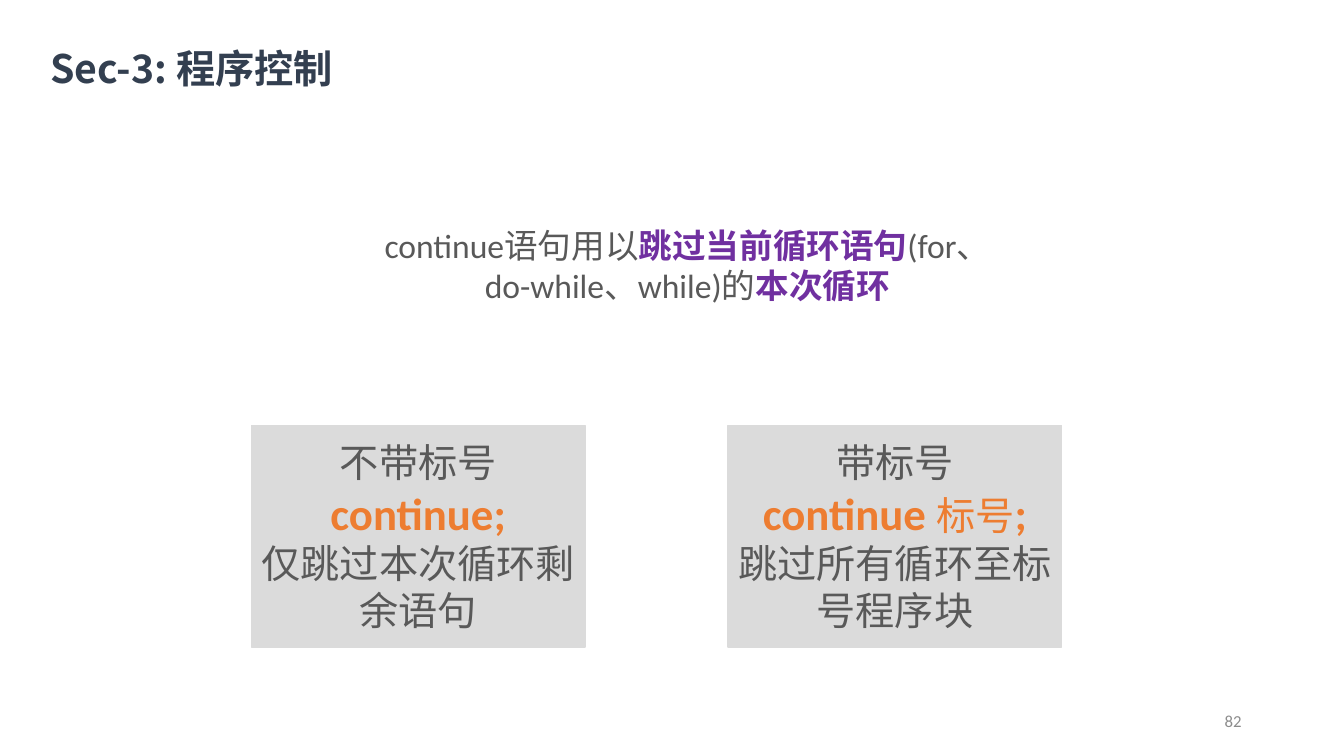
from lxml import etree
from pptx import Presentation
from pptx.dml.color import RGBColor
from pptx.enum.shapes import MSO_SHAPE
from pptx.enum.text import MSO_ANCHOR, PP_ALIGN
from pptx.oxml.ns import qn
from pptx.util import Pt

RECT = MSO_SHAPE.RECTANGLE
TOP, MIDDLE = MSO_ANCHOR.TOP, MSO_ANCHOR.MIDDLE
LEFT, CENTER, RIGHT = PP_ALIGN.LEFT, PP_ALIGN.CENTER, PP_ALIGN.RIGHT
LATIN, HAN = "Calibri", "Noto Sans CJK SC"
COLORS = {
    "title": "333F50",
    "body": "595959",
    "mark": "7030A0",
    "code": "ED7D31",
    "panel": "DBDBDB",
    "page": "8C8C8C",
}


def color(name):
    return RGBColor.from_string(COLORS[name])


def style(font, size, face, tint, bold=False):
    font.size = Pt(size)
    font.name = face
    font.bold = bold
    font.color.rgb = color(tint)


def write(para, runs, align):
    para.alignment = align
    if len(runs) == 1:
        style(para.font, *runs[0][1:])
    for text, *look in runs:
        run = para.add_run()
        run.text = text
        if len(runs) > 1:
            style(run.font, *look)
    for latin in list(para._p.iter(qn("a:latin"))):
        east = etree.Element(qn("a:ea"), typeface=HAN)
        latin.addnext(east)


def fill(frame, paras, align, anchor):
    frame.word_wrap = True
    frame.vertical_anchor = anchor
    for i, runs in enumerate(paras):
        para = frame.add_paragraph() if i else frame.paragraphs[0]
        write(para, runs, align)


def label(slide, place, runs, align, anchor=TOP):
    box = slide.shapes.add_textbox(*map(Pt, place))
    fill(box.text_frame, [runs], align, anchor)
    return box.text_frame


def panel(slide, left, head, code, note):
    box = slide.shapes.add_shape(RECT, Pt(left), Pt(303.8), Pt(238.5), Pt(158.5))
    box.shadow.inherit = False
    box.fill.solid()
    box.fill.fore_color.rgb = color("panel")
    box.line.color.rgb = color("panel")
    box.line.width = Pt(1)
    paras = [[(head, 28, HAN, "body")], code, [(note, 28, HAN, "body")]]
    fill(box.text_frame, paras, CENTER, MIDDLE)


def main():
    deck = Presentation()
    deck.slide_width, deck.slide_height = Pt(960), Pt(540)
    slide = deck.slides.add_slide(deck.slide_layouts[6])

    title = label(slide, (36, 30.3, 466.5, 34.5),
                  [("Sec-3: 程序控制", 28, HAN, "title", True)], LEFT)
    title.margin_left = title.margin_right = title.margin_bottom = 0
    title.margin_top = Pt(1)

    plain = (24, LATIN, "body")
    strong = (24, LATIN, "mark", True)
    label(slide, (264.2, 157, 453.6, 65.5), [
        ("continue语句用以", *plain),
        ("跳过当前循环语句", *strong),
        ("(for、do-while、while)的", *plain),
        ("本次循环", *strong),
    ], CENTER)

    code = (32, LATIN, "code", True)
    panel(slide, 179.5, "不带标号", [("continue;", *code)],
          "仅跳过本次循环剩余语句")
    panel(slide, 520, "带标号",
          [("continue ", *code), ("标号", 28, HAN, "code"), (";", *code)],
          "跳过所有循环至标号程序块")

    label(slide, (678, 500.5, 216, 28.8), [("82", 12, LATIN, "page")],
          RIGHT, MIDDLE)
    deck.save("out.pptx")


if __name__ == "__main__":
    main()
